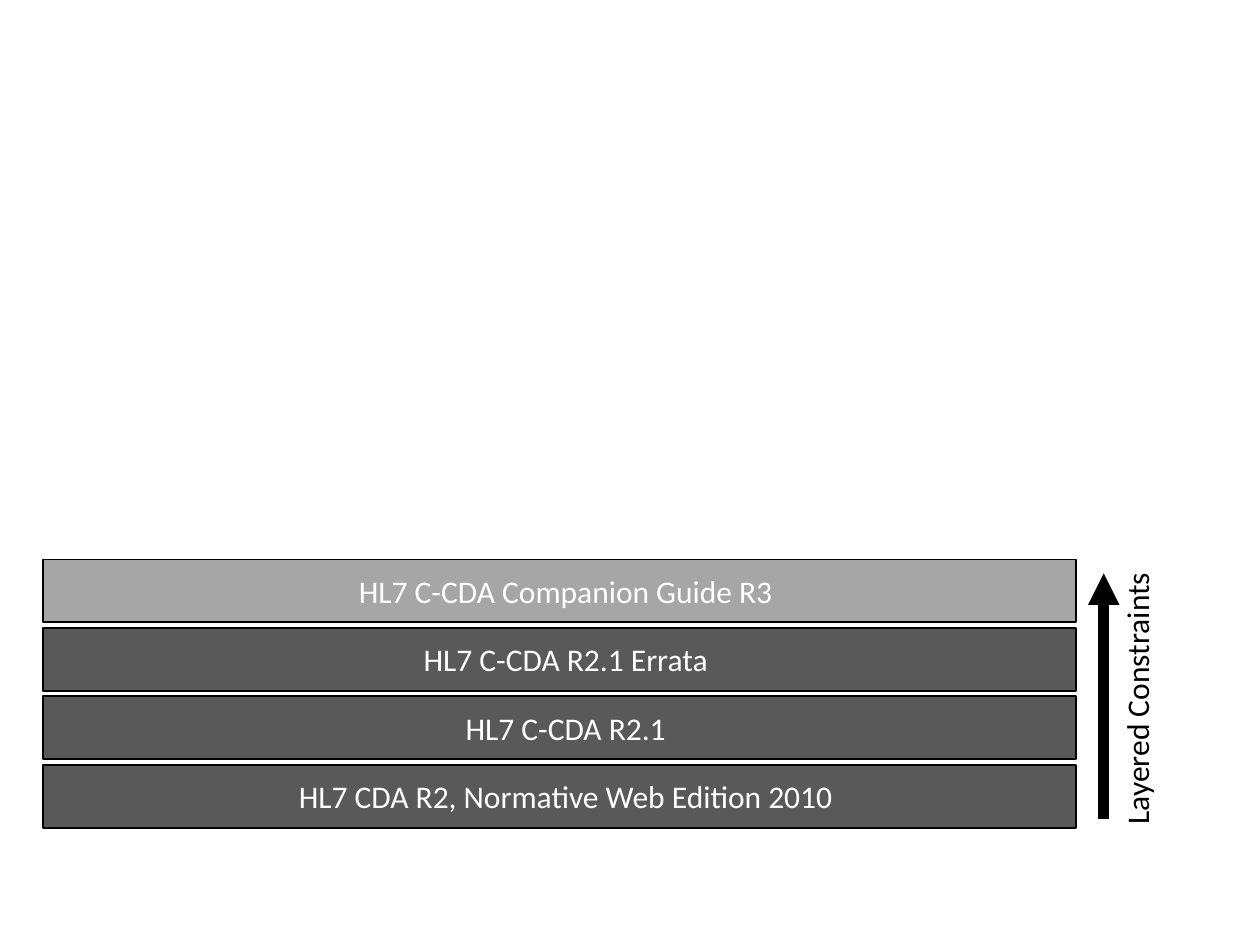
from lxml import etree
from pptx import Presentation
from pptx.dml.color import RGBColor
from pptx.enum.shapes import MSO_CONNECTOR, MSO_SHAPE
from pptx.enum.text import MSO_AUTO_SIZE, PP_ALIGN
from pptx.oxml.ns import qn
from pptx.util import Inches, Pt

RECTANGLE = MSO_SHAPE.RECTANGLE
STRAIGHT = MSO_CONNECTOR.STRAIGHT
LEFT, CENTER = PP_ALIGN.LEFT, PP_ALIGN.CENTER
FIT_SHAPE = MSO_AUTO_SIZE.SHAPE_TO_FIT_TEXT

# Grid of stacked layers, in inches
LAYER_LEFT, LAYER_WIDTH, LAYER_HEIGHT = 0.34, 8.2, 0.5
TOP_LAYER, BOTTOM_LAYER = 4.44, 6.07
LABEL_LEFT, LABEL_WIDTH, LABEL_HEIGHT = 0.53, 7.92, 0.4
ARROW_X = 8.76

# Layers from top to bottom
LAYERS = [
    ("HL7 C-CDA Companion Guide R3", "A6A6A6"),
    ("HL7 C-CDA R2.1 Errata", "595959"),
    ("HL7 C-CDA R2.1", "595959"),
    ("HL7 CDA R2, Normative Web Edition 2010", "595959"),
]
ROW_STEP = (BOTTOM_LAYER - TOP_LAYER) / (len(LAYERS) - 1)


def set_color(color_format, color):
    color_format.rgb = RGBColor.from_string(color)


def add_text(text, left, top, width, color="000000", align=LEFT, wrap=True, rotation=0):
    box = slide.shapes.add_textbox(
        Inches(left), Inches(top), Inches(width), Inches(LABEL_HEIGHT))
    box.rotation = rotation
    box.text_frame.word_wrap = wrap
    box.text_frame.auto_size = FIT_SHAPE
    paragraph = box.text_frame.paragraphs[0]
    paragraph.alignment = align
    run = paragraph.add_run()
    run.text = text
    run.font.name = "Calibri"
    run.font.size = Pt(18)
    set_color(run.font.color, color)


presentation = Presentation()
presentation.slide_width = Inches(10)
presentation.slide_height = Inches(7.5)
slide = presentation.slides.add_slide(presentation.slide_layouts[6])

# Layers, stacked from the bottom up
for row, (label, fill) in reversed(list(enumerate(LAYERS))):
    top = TOP_LAYER + row * ROW_STEP
    layer = slide.shapes.add_shape(
        RECTANGLE, Inches(LAYER_LEFT), Inches(top),
        Inches(LAYER_WIDTH), Inches(LAYER_HEIGHT))
    layer.shadow.inherit = False
    layer.fill.solid()
    set_color(layer.fill.fore_color, fill)
    set_color(layer.line.color, "000000")
    layer.line.width = Pt(1)
    label_top = top + (LAYER_HEIGHT - LABEL_HEIGHT) / 2
    add_text(label, LABEL_LEFT, label_top, LABEL_WIDTH, color="FFFFFF", align=CENTER)

# Upward arrow beside the layers
arrow = slide.shapes.add_connector(
    STRAIGHT, Inches(ARROW_X), Inches(6.5), Inches(ARROW_X), Inches(4.55))
set_color(arrow.line.color, "000000")
arrow.line.width = Pt(6)
etree.SubElement(arrow.line._get_or_add_ln(), qn("a:tailEnd"), type="triangle")
etree.SubElement(arrow._element.spPr, qn("a:effectLst"))

# Vertical caption
add_text("Layered Constraints", 7.91, 5.33, 2.22, wrap=False, rotation=270)

presentation.save("out.pptx")
